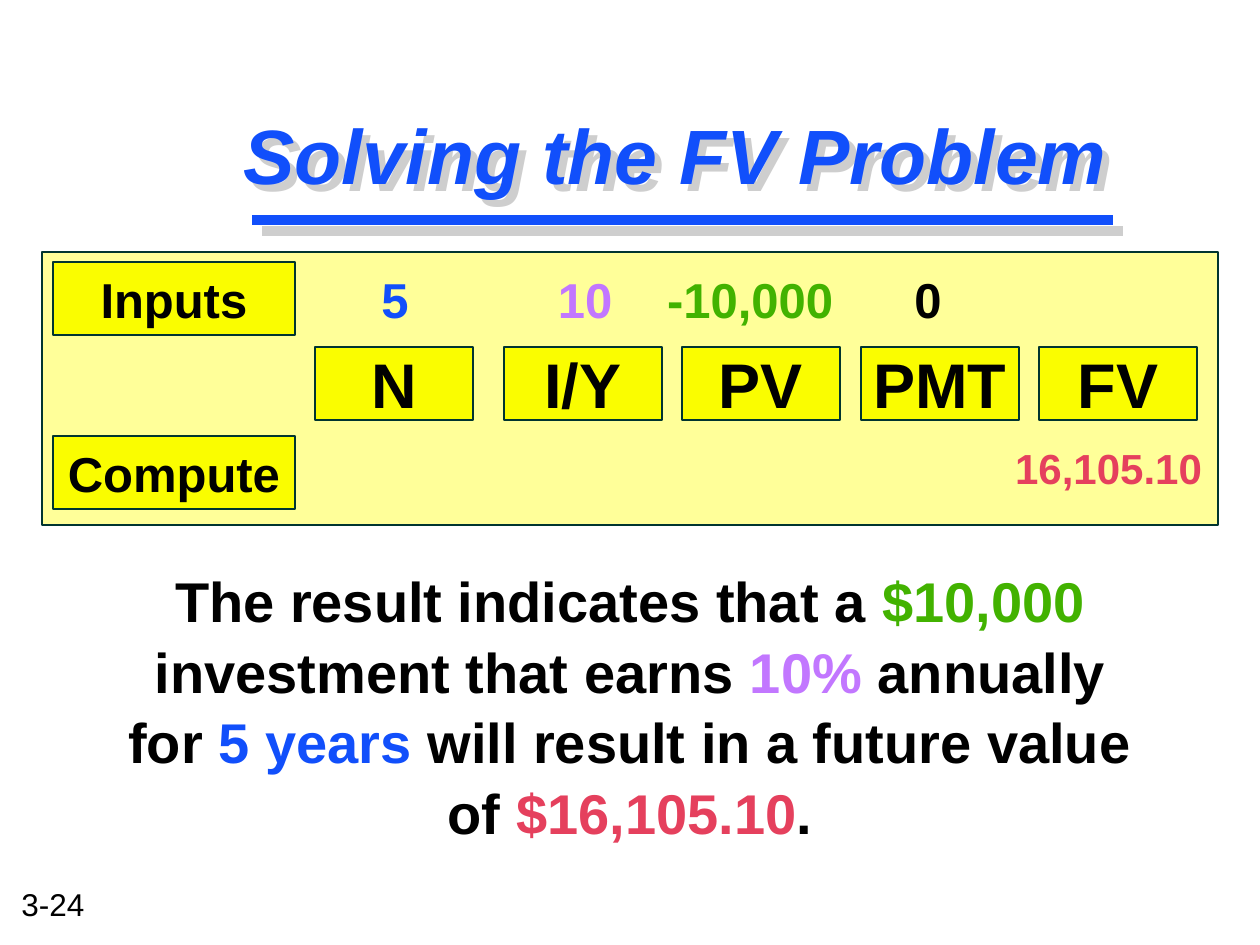
from lxml.etree import SubElement
from pptx import Presentation
from pptx.dml.color import RGBColor as Rgb
from pptx.enum.shapes import MSO_CONNECTOR as Connector, MSO_SHAPE as Shape
from pptx.enum.text import MSO_ANCHOR as Anchor, PP_ALIGN as Align
from pptx.oxml.ns import qn
from pptx.util import Pt

SCALE = 914400 / 126
COLORS = {
    "text": "000000", "blue": "114FFB", "violet": "C277FF", "green": "42B200",
    "red": "E5405D", "shadow": "CECECE", "panel": "FFFF99", "key": "FAFD00",
    "edge": "003530",
}
KEYS = {"N": 315, "I/Y": 504, "PV": 682, "PMT": 861, "FV": 1039}
LABELS = {"Inputs": 262, "Compute": 436}
INPUTS = [("5", "blue"), ("10", "violet"), ("-10,000", "green"), ("0", "text")]
INPUT_STOPS = [80, 270, 435, 613]
RESULT = [
    ("The result indicates that a ", "text"), ("$10,000", "green"),
    (" investment that earns ", "text"), ("10%", "violet"),
    (" annually for ", "text"), ("5 years", "blue"),
    (" will result in a future value of ", "text"),
    ("$16,105.10", "red"), (".", "text"),
]


def px(value):
    return round(value * SCALE)


def color(name):
    return Rgb.from_string(COLORS[name])


def write(shape, runs, size, align=Align.LEFT, bold=True, italic=False, wrap=True,
          anchor=Anchor.TOP, spacing=1.0):
    frame = shape.text_frame
    frame.word_wrap = wrap
    frame.vertical_anchor = anchor
    para = frame.paragraphs[0]
    para.alignment = align
    para.line_spacing = spacing
    for text, name in runs:
        span = para.add_run()
        span.text = text
        font = span.font
        font.name, font.size = "Arial", Pt(size)
        font.bold, font.italic = bold, italic
        font.color.rgb = color(name)


def add_text(page, place, runs, size, **style):
    box = page.shapes.add_textbox(*map(px, place))
    write(box, runs, size, **style)
    return box


def add_box(page, place, fill, edge=None):
    box = page.shapes.add_shape(Shape.RECTANGLE, *map(px, place))
    box.shadow.inherit = False
    box.fill.solid()
    box.fill.fore_color.rgb = color(fill)
    if edge:
        box.line.color.rgb = color(edge)
        box.line.width = Pt(1)
    else:
        box.line.fill.background()
    return box


def add_key(page, place, label, size):
    box = add_box(page, place, "key", "edge")
    write(box, [(label, "text")], size, align=Align.CENTER, wrap=False, anchor=Anchor.MIDDLE)


def add_row(page, top, runs, size, stops=(), align=Align.LEFT):
    row = add_box(page, (315, top, 887, 73), "panel")
    frame = row.text_frame
    frame.margin_left = frame.margin_right = 0
    if stops:
        tabs = SubElement(frame.paragraphs[0]._p.get_or_add_pPr(), qn("a:tabLst"))
        for stop in stops:
            SubElement(tabs, qn("a:tab"), pos=str(px(stop)), algn="ctr")
        runs = [("\t" + text, name) for text, name in runs]
    write(row, runs, size, align=align, anchor=Anchor.MIDDLE)


def add_rule(page, left, top, name):
    ends = map(px, (left, top, left + 861, top))
    rule = page.shapes.add_connector(Connector.STRAIGHT, *ends)
    rule.line.color.rgb = color(name)
    rule.line.width = Pt(6)
    SubElement(rule._element.spPr, qn("a:effectLst"))


def add_title(page, text):
    title = add_text(page, (231, 65, 1018, 177), [(text, "blue")], 44,
                     italic=True, anchor=Anchor.MIDDLE)
    effects = SubElement(title._element.spPr, qn("a:effectLst"))
    shadow = SubElement(effects, qn("a:outerShdw"), dist=str(px(10)), dir="2700000",
                        algn="ctr", rotWithShape="0")
    SubElement(shadow, qn("a:srgbClr"), val=COLORS["shadow"])


def main():
    """Build the future value slide and save it."""
    deck = Presentation()
    deck.slide_width, deck.slide_height = px(1260), px(945)
    page = deck.slides.add_slide(deck.slide_layouts[6])
    add_text(page, (9, 879, 92, 50), [("3-24", "text")], 18, bold=False, wrap=False)
    add_text(page, (105, 557, 1050, 315), RESULT, 32, align=Align.CENTER, spacing=1.05)
    add_rule(page, 262, 231, "shadow")
    add_title(page, "Solving the FV Problem")
    add_rule(page, 252, 220, "blue")
    add_box(page, (42, 252, 1176, 273), "panel", "edge")
    add_row(page, 262, INPUTS, 28, stops=INPUT_STOPS)
    add_row(page, 431, [("16,105.10", "red")], 24, align=Align.RIGHT)
    for label, left in KEYS.items():
        add_key(page, (left, 347, 158, 73), label, 36)
    for label, top in LABELS.items():
        add_key(page, (53, top, 242, 73), label, 28)
    deck.save("out.pptx")


if __name__ == "__main__":
    main()
